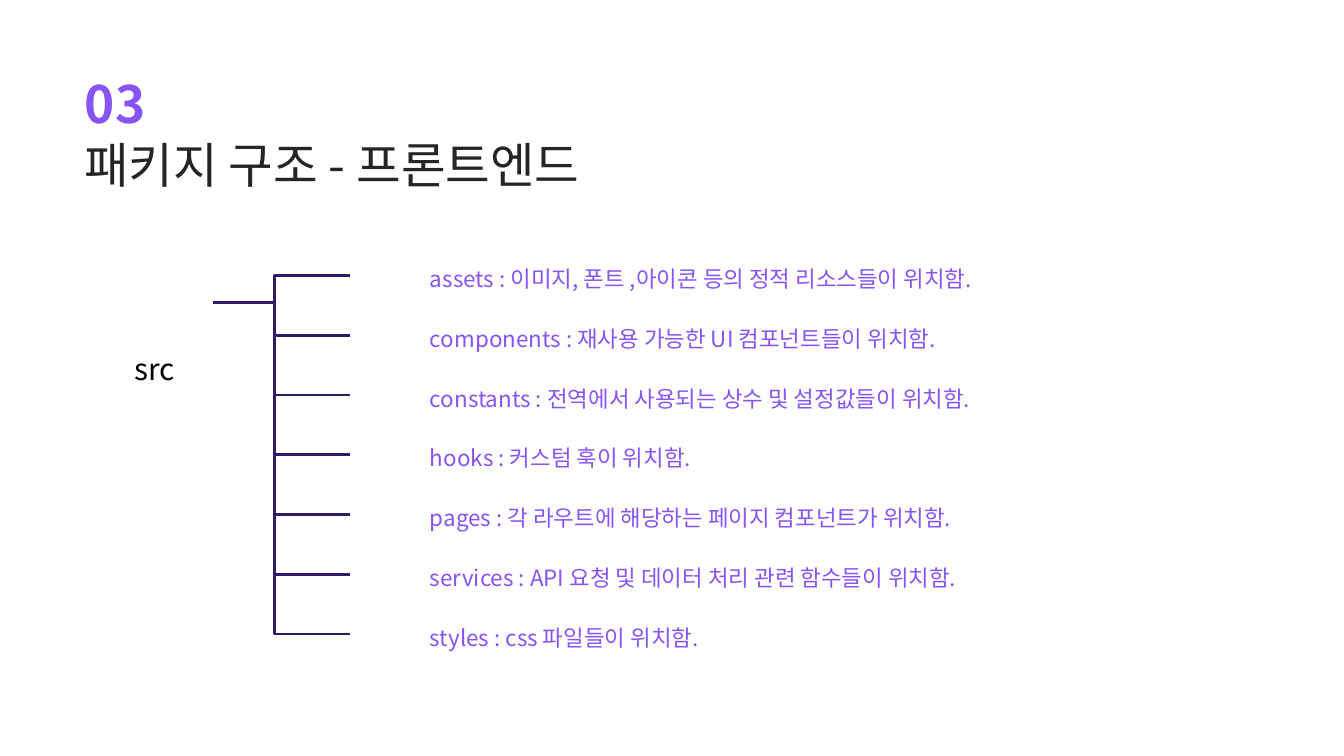
import pptx
import pptx.util
import pptx.dml.color
import pptx.enum.shapes
import pptx.enum.text
import pptx.oxml.ns
import lxml.etree

Pt = pptx.util.Pt
RGB = pptx.dml.color.RGBColor
PURPLE = RGB(0x88, 0x54, 0xF7)
NAVY = RGB(0x2E, 0x1A, 0x66)
DARK = RGB(0x25, 0x25, 0x25)
BLACK = RGB(0, 0, 0)
FONT = "Noto Sans CJK KR"

deck = pptx.Presentation()
deck.slide_width, deck.slide_height = Pt(1440), Pt(810)
slide = deck.slides.add_slide(deck.slide_layouts[6])


def add_text(text, left, top, width, height, size, color):
    box = slide.shapes.add_textbox(Pt(left), Pt(top), Pt(width), Pt(height))
    frame = box.text_frame
    frame.word_wrap = True
    frame.auto_size = pptx.enum.text.MSO_AUTO_SIZE.SHAPE_TO_FIT_TEXT
    frame.text = text
    run = frame.paragraphs[0].runs[0]
    run.font.size = Pt(size)
    run.font.color.rgb = color
    run.font.name = FONT
    props = run.font._element
    lxml.etree.SubElement(props, pptx.oxml.ns.qn("a:ea"), typeface=FONT)
    return frame


def add_line(x1, y1, x2, y2):
    line = slide.shapes.add_connector(
        pptx.enum.shapes.MSO_CONNECTOR.STRAIGHT, Pt(x1), Pt(y1), Pt(x2), Pt(y2))
    line.line.color.rgb = NAVY
    line.line.width = Pt(3)
    props = line._element.spPr
    lxml.etree.SubElement(props, pptx.oxml.ns.qn("a:effectLst"))


# Heading
number = add_text("03", 90, 33, 110, 100, 55, PURPLE)
title = add_text("패키지 구조 - 프론트엔드", 90, 103, 605.5, 94.3, 52, DARK)
for frame, space in ((number, 110), (title, 104)):
    frame.margin_left = frame.margin_right = 0
    frame.margin_top = frame.margin_bottom = 0
    frame.paragraphs[0].line_spacing = Pt(space)
font = number.paragraphs[0].runs[0].font
font.bold = True
font._element.set("spc", "130")

# Folder descriptions
FOLDERS = [
    "assets : 이미지, 폰트 ,아이콘 등의 정적 리소스들이 위치함.",
    "components : 재사용 가능한 UI 컴포넌트들이 위치함.",
    "constants : 전역에서 사용되는 상수 및 설정값들이 위치함.",
    "hooks : 커스텀 훅이 위치함.",
    "pages : 각 라우트에 해당하는 페이지 컴포넌트가 위치함.",
    "services : API 요청 및 데이터 처리 관련 함수들이 위치함.",
    "styles : css 파일들이 위치함.",
]
STEP = 64
for row, text in enumerate(FOLDERS):
    add_text(text, 453.6, 280.8 + row * STEP, 850.3, 36, 24, PURPLE)

# Tree: an outer bracket, the root stem and the inner branches
TRUNK, TIP, TOP = 294, 375, 295.2
LOW = TOP + STEP * (len(FOLDERS) - 1)
path = slide.shapes.build_freeform(Pt(TIP), Pt(TOP))
path.add_line_segments(
    [(Pt(TRUNK), Pt(TOP)), (Pt(TRUNK), Pt(LOW)), (Pt(TIP), Pt(LOW))], close=False)
bracket = path.convert_to_shape()
bracket.shadow.inherit = False
bracket.fill.background()
bracket.line.color.rgb = NAVY
bracket.line.width = Pt(3)

add_line(228, 324, TRUNK, 324)
for row in range(1, len(FOLDERS) - 1):
    add_line(TIP, TOP + row * STEP, TRUNK, TOP + row * STEP)

root = add_text("src", 114.5, 372.2, 103, 46, 32, BLACK)
root.paragraphs[0].alignment = pptx.enum.text.PP_ALIGN.CENTER

deck.save("out.pptx")
